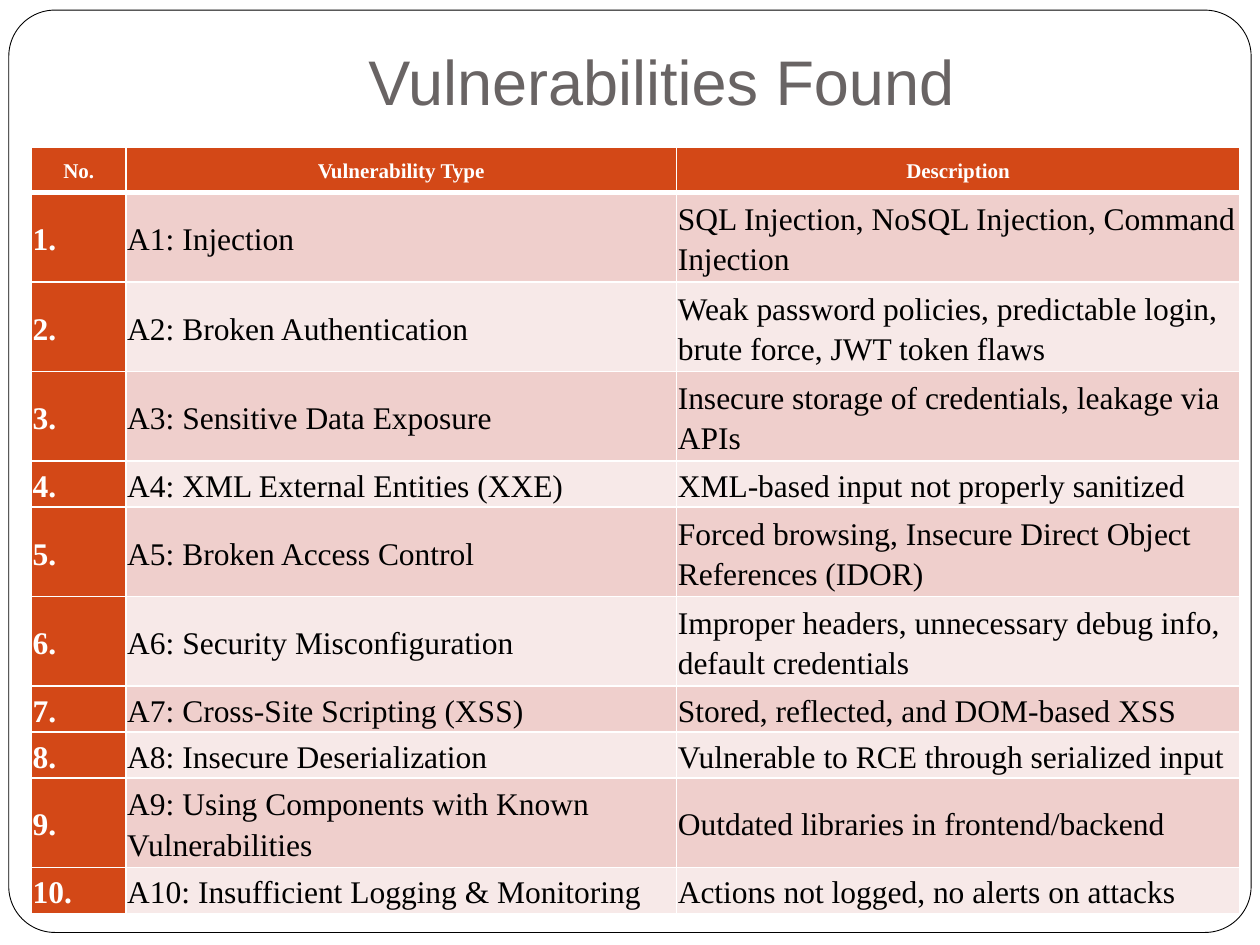
"""Build the slide that lists the vulnerabilities found."""
from dataclasses import dataclass

from lxml.etree import SubElement
from pptx import Presentation
from pptx.dml.color import RGBColor
from pptx.enum.shapes import MSO_SHAPE as Preset
from pptx.enum.text import MSO_ANCHOR as Anchor, PP_ALIGN as Align
from pptx.oxml.ns import qn
from pptx.util import Inches, Pt

WIDTH, HEIGHT = Inches(10), Inches(7.5)
COLORS = {
    "white": "FFFFFF",
    "black": "000000",
    "title": "696464",
    "accent": "D34817",
    "odd": "EFCFCC",
    "even": "F7E9E8",
}
COLUMN_SHARES = (7.5, 43.7, 44.7)
LINE_SHARES = {1: 4.8, 2: 9.33}
HEADINGS = ("No.", "Vulnerability Type", "Description")


@dataclass(frozen=True)
class Area:
    """A rectangle in percent of the slide's width and height."""
    left: float
    top: float
    width: float
    height: float

    def lengths(self) -> tuple:
        return across(self.left), down(self.top), across(self.width), down(self.height)


@dataclass(frozen=True)
class Finding:
    """A vulnerability with its description and its number of text lines."""
    name: str
    description: str
    lines: int = 1


@dataclass(frozen=True)
class CellStyle:
    """The look of one table cell."""
    fill: str
    color: str
    size: int = 18
    bold: bool = False
    align: Align = Align.LEFT


HEADER = CellStyle("accent", "white", 12, True, Align.CENTER)
NUMBER = CellStyle("accent", "white", bold=True)
BANDS = (CellStyle("odd", "black"), CellStyle("even", "black"))

FINDINGS = (
    Finding("Injection", "SQL Injection, NoSQL Injection, Command Injection", 2),
    Finding("Broken Authentication",
            "Weak password policies, predictable login, brute force, JWT token flaws", 2),
    Finding("Sensitive Data Exposure", "Insecure storage of credentials, leakage via APIs", 2),
    Finding("XML External Entities (XXE)", "XML-based input not properly sanitized"),
    Finding("Broken Access Control",
            "Forced browsing, Insecure Direct Object References (IDOR)", 2),
    Finding("Security Misconfiguration",
            "Improper headers, unnecessary debug info, default credentials", 2),
    Finding("Cross-Site Scripting (XSS)", "Stored, reflected, and DOM-based XSS"),
    Finding("Insecure Deserialization", "Vulnerable to RCE through serialized input"),
    Finding("Using Components with Known Vulnerabilities",
            "Outdated libraries in frontend/backend", 2),
    Finding("Insufficient Logging & Monitoring", "Actions not logged, no alerts on attacks"),
)


def across(share: float) -> int:
    return round(WIDTH * share / 100)


def down(share: float) -> int:
    return round(HEIGHT * share / 100)


def rgb(name: str) -> RGBColor:
    return RGBColor.from_string(COLORS[name])


def format_text(para, font_name: str, size: int, color: str, bold: bool, align: Align) -> None:
    para.alignment = align
    for span in para.runs:
        font = span.font
        font.name, font.size, font.bold = font_name, Pt(size), bold
        font.color.rgb = rgb(color)


def draw_frame(page, area: Area) -> None:
    frame = page.shapes.add_shape(Preset.ROUNDED_RECTANGLE, *area.lengths())
    frame.adjustments[0] = 0.05
    frame.shadow.inherit = False
    frame.fill.solid()
    frame.fill.fore_color.rgb = rgb("white")
    frame.line.color.rgb = rgb("black")
    frame.line.width = Pt(0.5)


def draw_title(page, area: Area, text: str) -> None:
    box = page.shapes.add_textbox(*area.lengths())
    frame = box.text_frame
    frame.word_wrap = True
    frame.vertical_anchor = Anchor.BOTTOM
    frame.margin_bottom = Inches(0.1)
    frame.text = text
    format_text(frame.paragraphs[0], "Arial", 36, "title", False, Align.CENTER)


def add_borders(cell, top: int, bottom: int) -> None:
    properties = cell._tc.get_or_add_tcPr()
    for side, points in (("L", 1), ("R", 1), ("T", top), ("B", bottom)):
        border = SubElement(properties, qn(f"a:ln{side}"), w=str(Pt(points)))
        fill = SubElement(border, qn("a:solidFill"))
        SubElement(fill, qn("a:srgbClr"), val=COLORS["white"])


def fill_cell(cell, text: str, style: CellStyle, top: int, bottom: int) -> None:
    add_borders(cell, top, bottom)
    cell.fill.solid()
    cell.fill.fore_color.rgb = rgb(style.fill)
    cell.vertical_anchor = Anchor.MIDDLE
    cell.margin_left = cell.margin_right = Inches(0.01)
    cell.margin_top = cell.margin_bottom = Inches(0.01)
    cell.text_frame.text = text
    para = cell.text_frame.paragraphs[0]
    para.line_spacing = 1.15
    format_text(para, "Times New Roman", style.size, style.color, style.bold, style.align)


def draw_findings(page, left: float, top: float) -> None:
    heights = [LINE_SHARES[lines] for lines in (1, *(item.lines for item in FINDINGS))]
    area = Area(left, top, sum(COLUMN_SHARES), sum(heights))
    table = page.shapes.add_table(len(heights), len(COLUMN_SHARES), *area.lengths()).table
    table.horz_banding = False
    for column, share in zip(table.columns, COLUMN_SHARES):
        column.width = across(share)
    for row, share in zip(table.rows, heights):
        row.height = down(share)
    for column, heading in enumerate(HEADINGS):
        fill_cell(table.cell(0, column), heading, HEADER, 1, 3)
    for number, item in enumerate(FINDINGS, start=1):
        band = BANDS[(number - 1) % 2]
        texts = (f"{number}.", f"A{number}: {item.name}", item.description)
        for column, (text, style) in enumerate(zip(texts, (NUMBER, band, band))):
            fill_cell(table.cell(number, column), text, style, 3 if number == 1 else 1, 1)


def main() -> None:
    deck = Presentation()
    deck.slide_width, deck.slide_height = WIDTH, HEIGHT
    page = deck.slides.add_slide(deck.slide_layouts[6])
    draw_frame(page, Area(0.7, 1.07, 98.6, 97.6))
    draw_title(page, Area(10, 8.93, 85, 4.93), "Vulnerabilities Found")
    draw_findings(page, 2.5, 15.6)
    deck.save("out.pptx")


if __name__ == "__main__":
    main()
